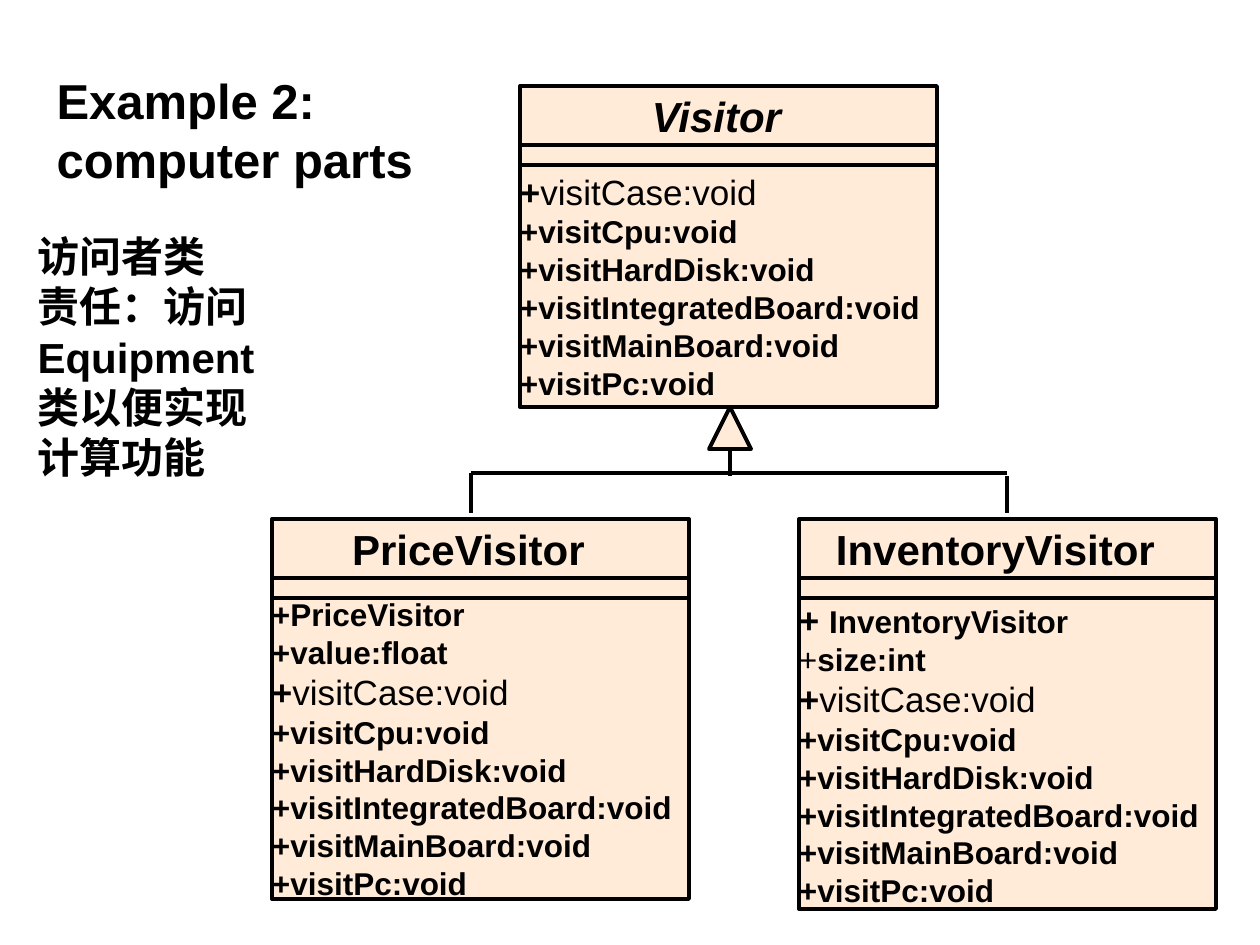
from lxml import etree
from pptx import Presentation
from pptx import util as u
from pptx.dml.color import RGBColor
from pptx.enum import shapes, text
from pptx.oxml.ns import qn

PX_PER_INCH = 126
BLACK, PEACH = "000000", "FFCC99"
FONT = "Arial"

# Class diagram grid
CLASS_W, NAME_H, ATTRIBUTES_H = 417, 59, 20

# A method is a list of runs: text, size, bold
VISITS = [[("+", 20, True), ("visitCase:void", 20, False)]] + [
    [(f"+visit{part}:void", 18, True)]
    for part in ("Cpu", "HardDisk", "IntegratedBoard", "MainBoard", "Pc")
]
PRICE_METHODS = [
    [("+PriceVisitor", 18, True)],
    [("+value:float", 18, True)],
] + VISITS
INVENTORY_METHODS = [
    [("+ ", 20, True), ("InventoryVisitor", 18, True)],
    [("+", 18, False), ("size:int", 18, True)],
] + VISITS


def px(length):
    return u.Emu(round(length * u.Inches(1) / PX_PER_INCH))


def colour(hex_code):
    return RGBColor.from_string(hex_code)


def set_font(font, size, bold=True, italic=False):
    font.name, font.size = FONT, u.Pt(size)
    font.bold, font.italic = bold, italic
    font.color.rgb = colour(BLACK)


def set_paragraph(paragraph, align=text.PP_ALIGN.LEFT):
    paragraph.alignment = align
    paragraph.line_spacing = 1.0
    paragraph.space_before = u.Pt(0)


def fill_placeholder(holder, x, y, w, h, lines, size):
    holder.left, holder.top, holder.width, holder.height = map(px, (x, y, w, h))
    frame = holder.text_frame
    frame.text = "\n".join(lines)
    frame.word_wrap = True
    frame.auto_size = text.MSO_AUTO_SIZE.NONE
    frame.vertical_anchor = text.MSO_ANCHOR.TOP
    for paragraph in frame.paragraphs:
        set_paragraph(paragraph)
        set_font(paragraph.font, size)
        # Plain lines: no bullet, no hanging indent
        properties = paragraph._p.get_or_add_pPr()
        properties.set("marL", "0")
        properties.set("indent", "0")
        bullet = etree.Element(qn("a:buNone"))
        properties.insert_element_before(bullet, "a:tabLst", "a:defRPr")


def add_outlined(diagram, kind, x, y, w, h):
    shape = diagram.shapes.add_shape(kind, *map(px, (x, y, w, h)))
    shape.shadow.inherit = False
    shape.fill.solid()
    shape.fill.fore_color.rgb = colour(PEACH)
    tint = shape.fill._xPr.find(".//" + qn("a:srgbClr"))
    etree.SubElement(tint, qn("a:alpha"), val="38000")
    shape.line.color.rgb = colour(BLACK)
    shape.line.width = u.Pt(2.25)
    frame = shape.text_frame
    frame.margin_left = frame.margin_right = 0
    frame.margin_top = frame.margin_bottom = 0
    frame.vertical_anchor = text.MSO_ANCHOR.MIDDLE
    frame.word_wrap = True
    return shape


def add_line(diagram, x1, y1, x2, y2):
    line = diagram.shapes.add_connector(
        shapes.MSO_CONNECTOR.STRAIGHT, *map(px, (x1, y1, x2, y2)))
    line.line.color.rgb = colour(BLACK)
    line.line.width = u.Pt(2.25)
    etree.SubElement(line._element.spPr, qn("a:effectLst"))


def add_class(diagram, x, y, name, methods, methods_h, abstract=False):
    rect = shapes.MSO_SHAPE.RECTANGLE
    # Name, set slightly left of centre
    heading = add_outlined(diagram, rect, x, y, CLASS_W, NAME_H).text_frame
    heading.margin_right = px(24)
    heading.text = name
    set_paragraph(heading.paragraphs[0], text.PP_ALIGN.CENTER)
    set_font(heading.paragraphs[0].font, 24, italic=abstract)
    # Empty attribute band
    attributes_y = y + NAME_H
    add_outlined(diagram, rect, x, attributes_y, CLASS_W, ATTRIBUTES_H)
    # Methods
    methods_y = attributes_y + ATTRIBUTES_H
    body = add_outlined(diagram, rect, x, methods_y, CLASS_W, methods_h).text_frame
    for i, method in enumerate(methods):
        paragraph = body.add_paragraph() if i else body.paragraphs[0]
        set_paragraph(paragraph)
        for words, size, bold in method:
            run = paragraph.add_run()
            run.text = words
            set_font(run.font, size, bold)


def add_inheritance(diagram):
    left, middle, right, bar, bottom = 471, 730, 1007, 473, 513
    add_line(diagram, left, bar, right, bar)
    add_line(diagram, left, bar, left, bottom)
    add_line(diagram, right, 476, right, bottom)
    add_outlined(diagram, shapes.MSO_SHAPE.ISOSCELES_TRIANGLE,
                 middle - 21, 407, 42, 42)
    add_line(diagram, middle, 449, middle, 476)


def main():
    deck = Presentation()
    deck.slide_width, deck.slide_height = u.Inches(10), u.Inches(7.5)
    slide = deck.slides.add_slide(deck.slide_layouts[1])

    # Title and responsibility note
    fill_placeholder(slide.shapes.title, 44, 64, 387, 131,
                     ["Example 2: computer parts"], 28)
    fill_placeholder(slide.placeholders[1], 25, 224, 258, 265,
                     ["访问者类", "责任：访问Equipment", "类以便实现", "计算功能"], 24)

    # Visitor hierarchy
    diagram = slide.shapes.add_group_shape()
    add_class(diagram, 520, 86, "Visitor", VISITS, 242, abstract=True)
    add_inheritance(diagram)
    add_class(diagram, 272, 519, "PriceVisitor", PRICE_METHODS, 301)
    add_class(diagram, 799, 519, "InventoryVisitor", INVENTORY_METHODS, 311)

    deck.save("out.pptx")


if __name__ == "__main__":
    main()
